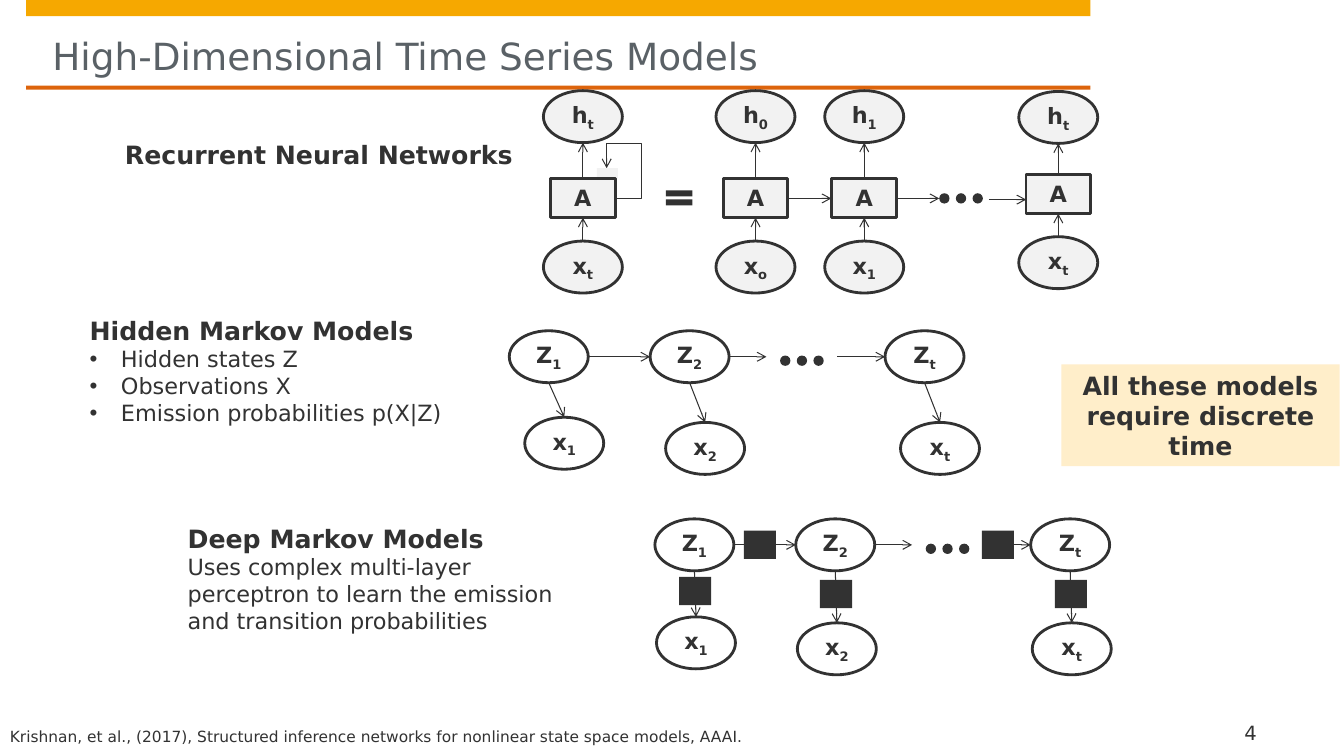
from lxml import etree
from pptx import Presentation
from pptx.dml.color import RGBColor
from pptx.enum import shapes, text
from pptx.oxml import ns
from pptx.util import Cm, Pt

FONT = "DejaVu Sans"
COLORS = {
    "ink": "323232", "title": "5A6166", "gold": "F6A800", "orange": "DD640C",
    "grey": "F2F2F2", "white": "FFFFFF", "cream": "FFEECA",
}
SHAPE = shapes.MSO_SHAPE
CENTER = text.PP_ALIGN.CENTER
NODE_W, NODE_H = 1.99, 1.31
CELL_W, CELL_H = 1.63, 0.99


def color(name):
    return RGBColor.from_string(COLORS[name])


def write(frame, words, size=16, bold=False, ink="ink", align=text.PP_ALIGN.LEFT,
          subscript="", bullet=False):
    """Fill the empty first paragraph of frame, or add one below the others."""
    paragraph = frame.paragraphs[0] if not frame.text else frame.add_paragraph()
    paragraph.alignment = align
    for part in filter(None, (words, subscript)):
        run = paragraph.add_run()
        run.text = part
        font = run.font
        font.name, font.size, font.bold = FONT, Pt(size), bold
        font.color.rgb = color(ink)
    if subscript:
        run.font._element.set("baseline", "-25000")
    if bullet:
        props = paragraph._p.get_or_add_pPr()
        props.set("marL", str(Cm(0.79)))
        props.set("indent", str(-Cm(0.79)))
        etree.SubElement(props, ns.qn("a:buFont")).set("typeface", "Arial")
        etree.SubElement(props, ns.qn("a:buChar")).set("char", "•")


def add_block(slide, kind, left, top, width, height, fill="ink", outlined=False):
    block = slide.shapes.add_shape(kind, Cm(left), Cm(top), Cm(width), Cm(height))
    block.shadow.inherit = False
    block.fill.solid()
    block.fill.fore_color.rgb = color(fill)
    if outlined:
        block.line.color.rgb = color("ink")
        block.line.width = Pt(2)
    else:
        block.line.fill.background()
    return block


def add_centered(slide, kind, x, y, width, height, **look):
    return add_block(slide, kind, x - width / 2, y - height / 2, width, height, **look)


def add_label_shape(slide, kind, x, y, width, height, fill, letter, subscript=""):
    shape = add_centered(slide, kind, x, y, width, height, fill=fill, outlined=True)
    frame = shape.text_frame
    frame.margin_left = frame.margin_right = 0
    frame.margin_top = frame.margin_bottom = 0
    frame.vertical_anchor = text.MSO_ANCHOR.MIDDLE
    write(frame, letter, bold=True, align=CENTER, subscript=subscript)


def add_node(slide, x, y, fill, letter, subscript):
    add_label_shape(slide, SHAPE.OVAL, x, y, NODE_W, NODE_H, fill, letter, subscript)


def add_arrow(slide, x1, y1, x2, y2, kind=shapes.MSO_CONNECTOR.STRAIGHT):
    arrow = slide.shapes.add_connector(kind, Cm(x1), Cm(y1), Cm(x2), Cm(y2))
    arrow.line.color.rgb = color("ink")
    arrow.line.width = Pt(0.75)
    etree.SubElement(arrow.line._get_or_add_ln(), ns.qn("a:tailEnd")).set("type", "arrow")
    etree.SubElement(arrow._element.spPr, ns.qn("a:effectLst"))
    return arrow


def add_dots(slide, x, y):
    for step in range(3):
        add_centered(slide, SHAPE.OVAL, x + 0.42 * step, y, 0.26, 0.26)


def add_text_box(slide, left, top, width, height):
    frame = slide.shapes.add_textbox(Cm(left), Cm(top), Cm(width), Cm(height)).text_frame
    frame.word_wrap = True
    return frame


def add_self_loop(slide):
    """Feed the folded recurrent cell back into its own top."""
    loop = add_arrow(slide, 15.49, 5, 15.29, 4.24, shapes.MSO_CONNECTOR.ELBOW)
    geometry = loop._element.spPr.find(ns.qn("a:prstGeom"))
    geometry.set("prst", "bentConnector4")
    guides = geometry.find(ns.qn("a:avLst"))
    for name, value in (("adj1", -341500), ("adj2", 183400)):
        guide = etree.SubElement(guides, ns.qn("a:gd"))
        guide.set("name", name)
        guide.set("fmla", f"val {value}")
    add_block(slide, SHAPE.RECTANGLE, 15.04, 4.24, 0.53, 0.25, fill="grey")


def add_recurrent_network(slide):
    add_self_loop(slide)
    columns = [
        (14.69, 2.94, 4.99, 6.73, "t", "t"), (19.04, 2.94, 4.99, 6.73, "0", "o"),
        (21.78, 2.94, 4.99, 6.73, "1", "1"), (26.67, 2.96, 4.89, 6.62, "t", "t"),
    ]
    for x, hidden_y, cell_y, input_y, hidden_step, input_step in columns:
        add_label_shape(slide, SHAPE.RECTANGLE, x, cell_y, CELL_W, CELL_H, "grey", "A")
        add_node(slide, x, input_y, "grey", "x", input_step)
        add_node(slide, x, hidden_y, "grey", "h", hidden_step)
        add_arrow(slide, x, cell_y - CELL_H / 2, x, hidden_y + NODE_H / 2)
        add_arrow(slide, x, input_y - NODE_H / 2, x, cell_y + CELL_H / 2)
    for start, end, y in ((19.86, 20.95, 5), (22.59, 23.67, 5), (24.92, 25.86, 5.03)):
        add_arrow(slide, start, y, end, y)
    add_dots(slide, 23.8, 5)
    add_block(slide, SHAPE.MATH_EQUAL, 16.66, 4.67, 0.91, 0.64)


def add_markov_chain(slide, left, y, shift, drops, gated=False):
    """Draw states Z in a row; each emits an x placed shift across and a drop below."""
    second, last = left + 3.55, left + 9.47
    half = NODE_W / 2
    for start, end in ((left + half, second - half),
                       (second + half, second + half + 0.94),
                       (last - half - 1.21, last - half)):
        add_arrow(slide, start, y, end, y)
    for x, drop, step in zip((left, second, last), drops, "12t"):
        add_node(slide, x + shift, y + drop, "white", "x", step)
        add_node(slide, x, y, "white", "Z", step)
        add_arrow(slide, x, y + NODE_H / 2, x + shift, y + drop - NODE_H / 2)
        if gated:
            add_gate(slide, x + shift / 2, y + drop / 2 - 0.07)
    if gated:
        add_gate(slide, left + 1.65, y)
        add_gate(slide, left + 7.65, y)
    add_dots(slide, left + 5.96, y + 0.1)


def add_gate(slide, x, y):
    add_centered(slide, SHAPE.RECTANGLE, x, y, 0.81, 0.71)


def add_title(slide, words):
    title = slide.shapes.title
    title.left, title.top, title.width, title.height = Cm(1.32), Cm(0.41), Cm(25.48), Cm(1.55)
    frame = title.text_frame
    frame.auto_size = text.MSO_AUTO_SIZE.NONE
    frame.vertical_anchor = text.MSO_ANCHOR.MIDDLE
    frame.margin_left = frame.margin_right = frame.margin_bottom = 0
    frame.margin_top = Cm(0.41)
    write(frame, words, size=26.7, ink="title")


def add_descriptions(slide):
    write(add_text_box(slide, 2.9, 3.38, 12.07, 1.02), "Recurrent Neural Networks",
          size=18, bold=True)
    hidden = add_text_box(slide, 2.01, 7.82, 11.2, 3.18)
    write(hidden, "Hidden Markov Models", size=18, bold=True)
    for point in ("Hidden states Z", "Observations X", "Emission probabilities p(X|Z)"):
        write(hidden, point, bullet=True)
    deep = add_text_box(slide, 4.48, 13.05, 9.96, 3.07)
    write(deep, "Deep Markov Models", size=18, bold=True)
    write(deep, "Uses complex multi-layer perceptron to learn the emission "
                "and transition probabilities")


def add_callout(slide):
    frame = add_block(slide, SHAPE.RECTANGLE, 26.75, 9.18, 7.01, 2.57, fill="cream").text_frame
    frame.word_wrap = True
    write(frame, "All these models require discrete time", size=18, bold=True, align=CENTER)


def add_footer(slide):
    write(add_text_box(slide, 0, 18.19, 19.53, 0.74),
          "Krishnan, et al., (2017), Structured inference networks for nonlinear "
          "state space models, AAAI.", size=11)
    number = add_text_box(slide, 31.06, 18.01, 2.13, 0.74)
    number.margin_left = Cm(0.3)
    number.margin_top = number.margin_bottom = 0
    number.vertical_anchor = text.MSO_ANCHOR.BOTTOM
    write(number, "4", size=14)


def main():
    deck = Presentation()
    deck.slide_width, deck.slide_height = Cm(33.87), Cm(19.05)
    slide = deck.slides.add_slide(deck.slide_layouts[5])
    add_block(slide, SHAPE.RECTANGLE, 0.66, 0, 26.82, 0.41, fill="gold")
    add_block(slide, SHAPE.RECTANGLE, 0.66, 2.16, 26.82, 0.1, fill="orange")
    add_title(slide, "High-Dimensional Time Series Models")
    add_recurrent_network(slide)
    add_markov_chain(slide, 13.83, 8.99, 0.39, (2.18, 2.31, 2.31))
    add_markov_chain(slide, 17.5, 13.73, 0.04, (2.47, 2.62, 2.62), gated=True)
    add_descriptions(slide)
    add_callout(slide)
    add_footer(slide)
    deck.save("out.pptx")


if __name__ == "__main__":
    main()
